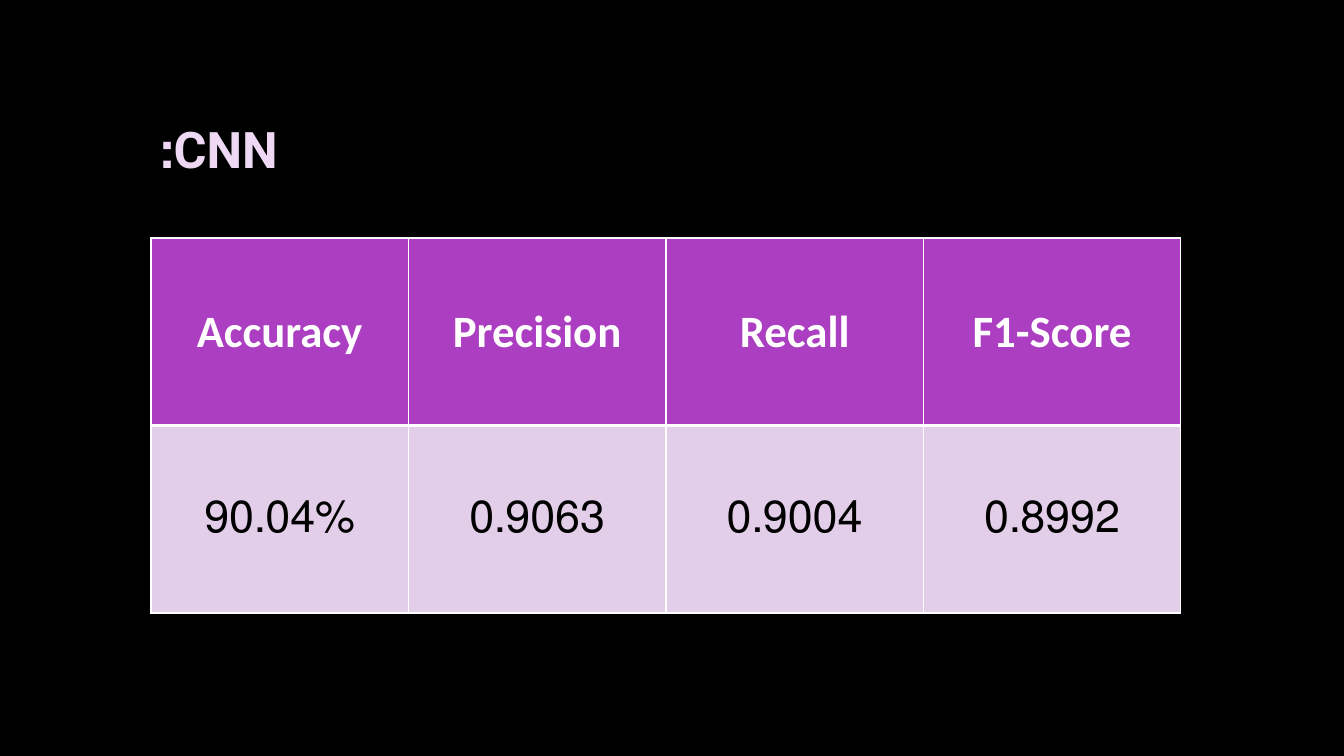
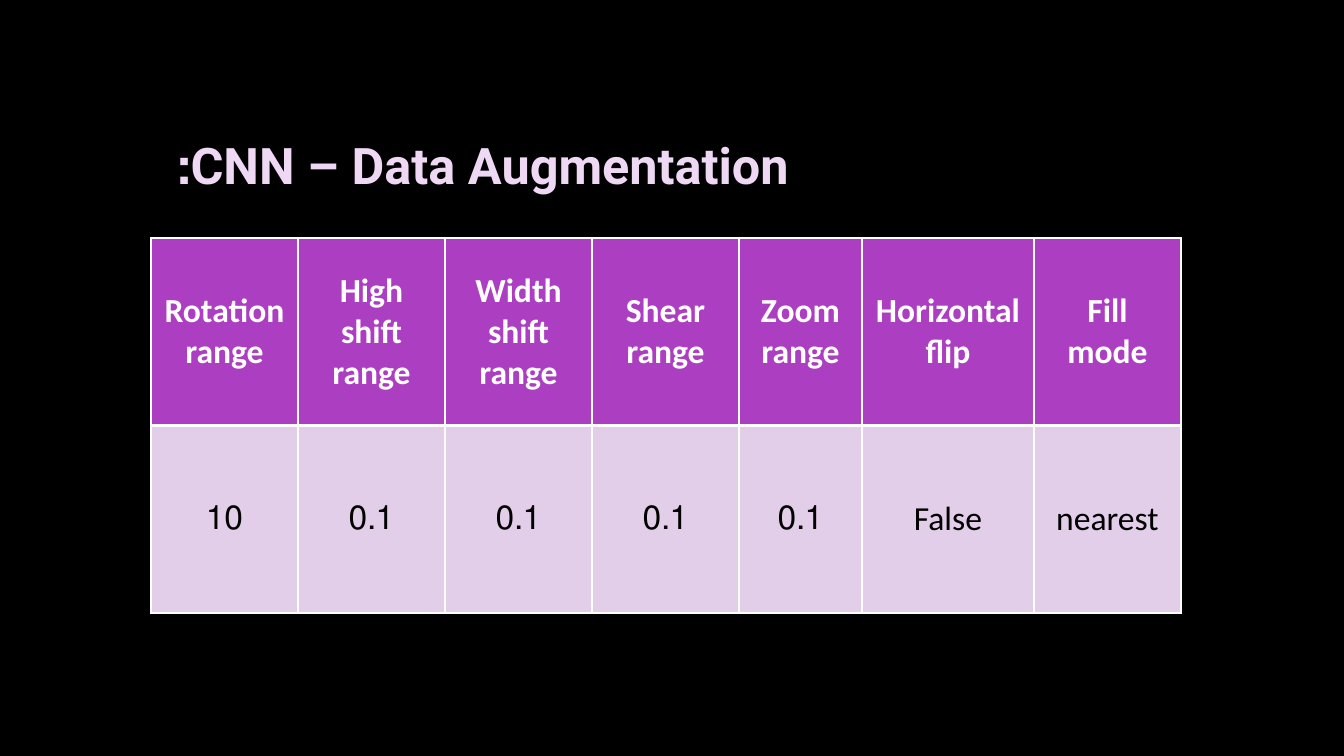
from dataclasses import dataclass

from lxml.etree import SubElement
from pptx import Presentation
from pptx.dml.color import RGBColor as RGB
from pptx.enum.text import MSO_ANCHOR as ANCHOR, PP_ALIGN as ALIGN
from pptx.oxml import parse_xml
from pptx.oxml.ns import nsdecls, qn
from pptx.util import Pt

# Content
SLIDES = [
    {
        "title": "CNN:",
        "title_at": (151, 68),
        "size": 32,
        "columns": [257.5] * 4,
        "rows": [
            ["Accuracy", "Precision", "Recall", "F1-Score"],
            ["90.04%", "0.9063", "0.9004", "0.8992"],
        ],
    },
    {
        "title": "CNN – Data Augmentation:",
        "title_at": (168, 84),
        "size": 24,
        "columns": [147, 147, 147, 147, 123, 172, 147],
        "rows": [
            ["Rotation range", "High shift range", "Width shift range",
             "Shear range", "Zoom range", "Horizontal flip", "Fill mode"],
            ["10", "0.1", "0.1", "0.1", "0.1", "False", "nearest"],
        ],
    },
]


@dataclass(frozen=True)
class Theme:
    background: str = "000000"
    title: str = "EED8F3"
    header_fill: str = "AC3EC1"
    header_text: str = "FFFFFF"
    body_fill: str = "E3CEE9"
    body_text: str = "000000"
    border: str = "FFFFFF"
    title_font: str = "Roboto"
    table_font: str = "Calibri"
    title_size: int = 36
    thin: int = 1
    thick: int = 3


THEME = Theme()

# Layout in px
SLIDE_W, SLIDE_H = 1344, 756
TITLE_W, TITLE_H = 1117, 160
TABLE_X, TABLE_Y, TABLE_W, TABLE_H = 151, 238, 1030, 375
EMU_PER_PX = 12192000 / SLIDE_W


def px(value):
    return round(value * EMU_PER_PX)


def write(tf, text, font, size, color, bold, align):
    """Fill a text frame with one right-to-left paragraph."""
    tf.text = text
    tf.word_wrap = True
    p = tf.paragraphs[0]
    p.alignment = align
    p._p.get_or_add_pPr().set("rtl", "1")
    r = p.runs[0]
    r.font.name = font
    r.font.size = Pt(size)
    r.font.bold = bold
    r.font.color.rgb = RGB.from_string(color)


def add_title(s, text, at):
    x, y = at
    sp = s.shapes.add_textbox(px(x), px(y), px(TITLE_W), px(TITLE_H))
    write(sp.text_frame, text, THEME.title_font, THEME.title_size,
          THEME.title, True, ALIGN.LEFT)
    sp.text_frame.vertical_anchor = ANCHOR.MIDDLE


def set_borders(cell, widths):
    """Draw borders in the order left, right, top, bottom."""
    tcPr = cell._tc.get_or_add_tcPr()
    for i, (side, width) in enumerate(zip("LRTB", widths)):
        ln = parse_xml(f'<a:ln{side} {nsdecls("a")} w="{Pt(width)}"/>')
        fill = SubElement(ln, qn("a:solidFill"))
        SubElement(fill, qn("a:srgbClr")).set("val", THEME.border)
        tcPr.insert(i, ln)


def add_metrics_table(s, rows, columns, size):
    table = s.shapes.add_table(len(rows), len(columns), px(TABLE_X), px(TABLE_Y),
                               px(TABLE_W), px(TABLE_H)).table
    for column, width in zip(table.columns, columns):
        column.width = px(width)
    for i, values in enumerate(rows):
        table.rows[i].height = px(TABLE_H / len(rows))
        header = i == 0
        fill = THEME.header_fill if header else THEME.body_fill
        color = THEME.header_text if header else THEME.body_text
        top, bottom = (THEME.thin, THEME.thick) if header else (THEME.thick, THEME.thin)
        for j, value in enumerate(values):
            cell = table.cell(i, j)
            write(cell.text_frame, value, THEME.table_font, size, color,
                  header, ALIGN.CENTER)
            cell.vertical_anchor = ANCHOR.MIDDLE
            cell.fill.solid()
            cell.fill.fore_color.rgb = RGB.from_string(fill)
            set_borders(cell, (THEME.thin, THEME.thin, top, bottom))


def main():
    prs = Presentation()
    prs.slide_width, prs.slide_height = px(SLIDE_W), px(SLIDE_H)

    # Shared background
    background = prs.slide_master.background.fill
    background.solid()
    background.fore_color.rgb = RGB.from_string(THEME.background)

    # Slides
    for content in SLIDES:
        s = prs.slides.add_slide(prs.slide_layouts[6])
        add_title(s, content["title"], content["title_at"])
        add_metrics_table(s, content["rows"], content["columns"], content["size"])

    prs.save("out.pptx")


if __name__ == "__main__":
    main()
